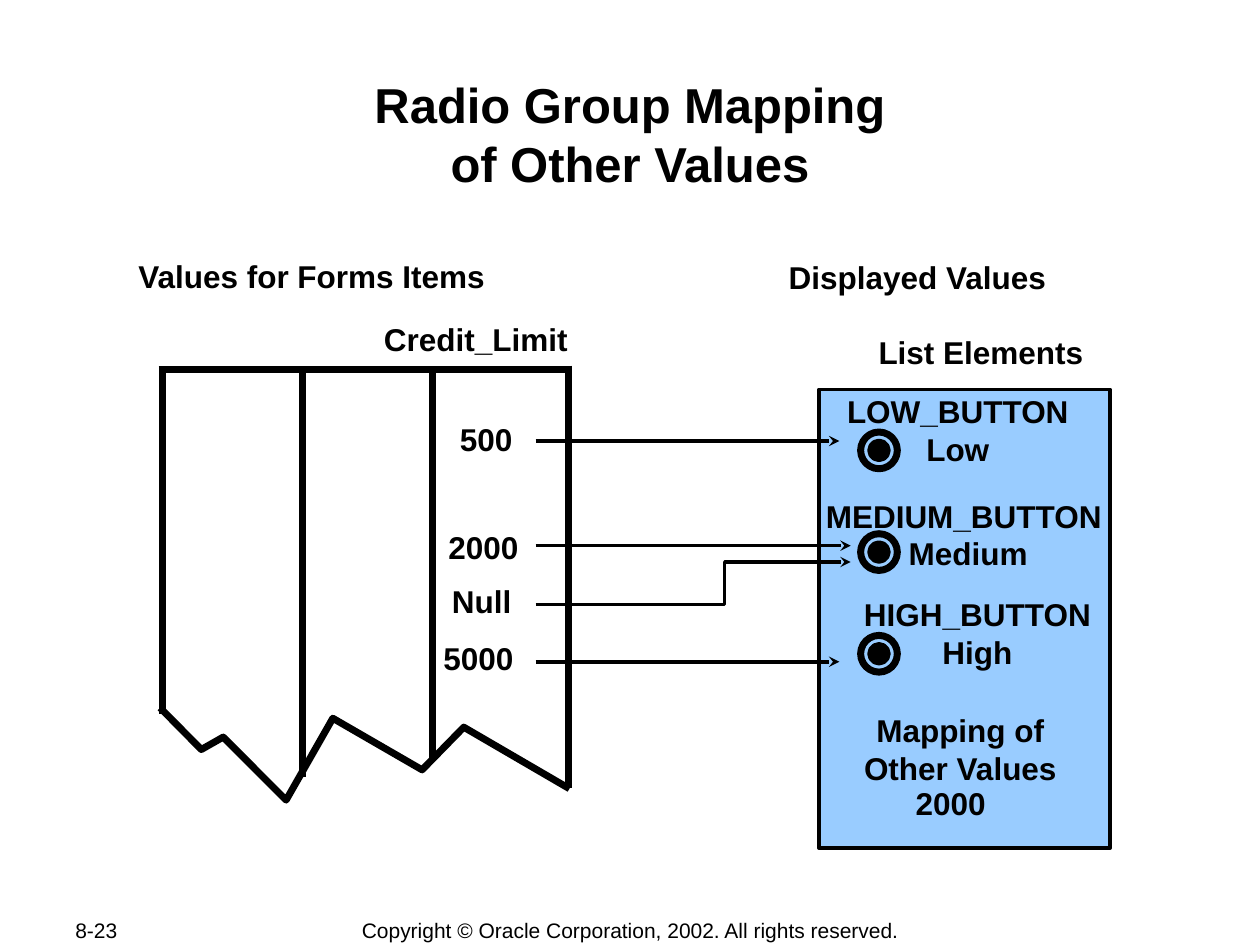
import pptx
import pptx.dml.color
import pptx.enum.shapes
import pptx.enum.text
import pptx.oxml
import pptx.oxml.ns
import pptx.util

Cm = pptx.util.Cm
Pt = pptx.util.Pt
Shape = pptx.enum.shapes.MSO_SHAPE
Align = pptx.enum.text.PP_ALIGN
Anchor = pptx.enum.text.MSO_ANCHOR


def color(hex_code):
    return pptx.dml.color.RGBColor.from_string(hex_code)


def write(frame, text, size=18, bold=True, align=Align.LEFT, ink="000000", font="Arial"):
    frame.text = text
    for paragraph in frame.paragraphs:
        paragraph.alignment = align
        paragraph.font.name = font
        paragraph.font.size = Pt(size)
        paragraph.font.bold = bold
        paragraph.font.color.rgb = color(ink)


class Diagram:
    ink = "000000"
    panel_fill = "99CCFF"
    thick = 4
    thin = 2

    def __init__(self, slide):
        self.shapes = slide.shapes

    def text(self, left, top, width, height, text, wrap=False,
             anchor=Anchor.TOP, margins=(0.25, 0.13), **style):
        label = self.shapes.add_textbox(Cm(left), Cm(top), Cm(width), Cm(height))
        frame = label.text_frame
        frame.word_wrap = wrap
        frame.vertical_anchor = anchor
        frame.margin_left = frame.margin_right = Cm(margins[0])
        frame.margin_top = frame.margin_bottom = Cm(margins[1])
        write(frame, text, ink=self.ink, **style)

    def outline(self, shape, weight, arrow=False):
        shape.line.color.rgb = color(self.ink)
        shape.line.width = Pt(weight)
        if arrow:
            ln = shape.element.spPr.find(pptx.oxml.ns.qn("a:ln"))
            ln.append(pptx.oxml.parse_xml(
                f'<a:tailEnd {pptx.oxml.ns.nsdecls("a")} type="stealth"/>'))

    def line(self, x1, y1, x2, y2, weight, arrow=False):
        connector = self.shapes.add_connector(
            pptx.enum.shapes.MSO_CONNECTOR.STRAIGHT, Cm(x1), Cm(y1), Cm(x2), Cm(y2))
        self.outline(connector, weight, arrow)
        connector.element.spPr.append(pptx.oxml.parse_xml(
            f'<a:effectLst {pptx.oxml.ns.nsdecls("a")}/>'))

    def shape(self, kind, left, top, width, height, weight, fill=None):
        shape = self.shapes.add_shape(kind, Cm(left), Cm(top), Cm(width), Cm(height))
        shape.shadow.inherit = False
        if fill:
            shape.fill.solid()
            shape.fill.fore_color.rgb = color(fill)
        else:
            shape.fill.background()
        self.outline(shape, weight)

    def radio(self, center_x, center_y):
        for size, fill in ((0.33, self.ink), (0.74, None)):
            self.shape(Shape.OVAL, center_x - size / 2, center_y - size / 2,
                       size, size, self.thick, fill)

    def path_line(self, points, weight, arrow=False):
        start, *rest = [(Cm(x), Cm(y)) for x, y in points]
        builder = self.shapes.build_freeform(*start)
        builder.add_line_segments(rest, close=False)
        shape = builder.convert_to_shape()
        shape.shadow.inherit = False
        shape.fill.background()
        self.outline(shape, weight, arrow)


def main():
    deck = pptx.Presentation()
    deck.slide_width, deck.slide_height = Cm(25.4), Cm(19.05)
    diagram = Diagram(deck.slides.add_slide(deck.slide_layouts[6]))

    diagram.text(1.27, 18.49, 2.69, 0.51, "8-23", wrap=True,
                 anchor=Anchor.MIDDLE, size=12, bold=False, align=Align.JUSTIFY)
    diagram.text(7.01, 18.49, 11.4, 0.53,
                 "Copyright © Oracle Corporation, 2002. All rights reserved.",
                 anchor=Anchor.MIDDLE, size=12, bold=False, align=Align.CENTER)
    diagram.text(2.54, 1.47, 20.32, 2.44, "Radio Group Mapping\vof Other Values",
                 wrap=True, margins=(0.03, 0.03), size=28, align=Align.CENTER)

    diagram.line(3.2, 7.44, 11.43, 7.44, diagram.thick)
    for x, top, bottom in ((3.28, 7.42, 14.4), (6.1, 7.42, 15.67),
                           (8.71, 7.42, 15.34), (11.46, 7.37, 15.88)):
        diagram.line(x, top, x, bottom, diagram.thick)
    torn_edge = ((3.23, 14.27), (4.06, 15.11), (4.5, 14.86), (5.77, 16.13),
                 (6.71, 14.48), (8.51, 15.52), (9.35, 14.66), (11.48, 15.9))
    diagram.path_line(torn_edge, diagram.thick)

    diagram.shape(Shape.RECTANGLE, 16.51, 7.85, 5.87, 9.25,
                  diagram.thin, diagram.panel_fill)
    for button in range(3):
        diagram.radio(17.72, 9.08 + 2.05 * button)

    for left, top, width, label in (
        (2.54, 5.05, 7.54, "Values for Forms Items"),
        (15.65, 5.08, 5.74, "Displayed Values"),
        (7.49, 6.32, 4.22, "Credit_Limit"),
        (9.02, 8.33, 1.57, "500"),
        (8.79, 10.52, 1.93, "2000"),
        (8.86, 11.61, 1.7, "Null"),
        (8.69, 12.75, 1.93, "5000"),
        (18.21, 15.67, 1.93, "2000"),
    ):
        diagram.text(left, top, width, 1.02, label)

    for left, top, width, height, label in (
        (17.45, 6.58, 4.65, 1.02, "List Elements"),
        (16.81, 7.77, 5, 1.78, "LOW_BUTTON\vLow"),
        (16.38, 9.88, 6.1, 1.78, "MEDIUM_BUTTON\n Medium"),
        (17.15, 11.86, 5.11, 1.78, "HIGH_BUTTON\vHigh"),
        (17.15, 14.2, 4.42, 1.78, "Mapping of\nOther Values"),
    ):
        diagram.text(left, top, width, height, label, align=Align.CENTER)

    arrow_start = 10.8
    for y, arrow_end in ((8.89, 16.92), (11, 17.15), (13.34, 16.92)):
        diagram.line(arrow_start, y, arrow_end, y, diagram.thin, arrow=True)
    null_route = ((arrow_start, 12.19), (14.61, 12.19), (14.61, 11.33), (17.15, 11.33))
    diagram.path_line(null_route, diagram.thin, arrow=True)

    deck.save("out.pptx")


if __name__ == "__main__":
    main()
